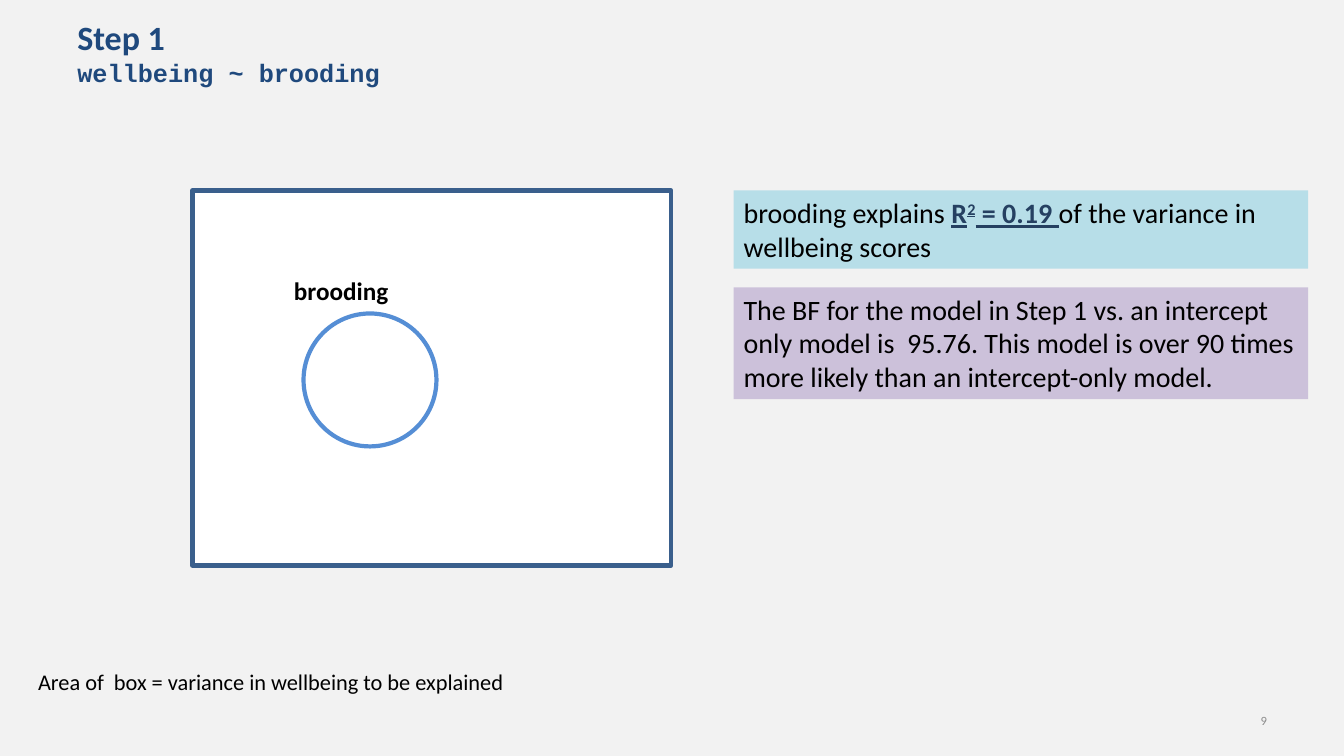
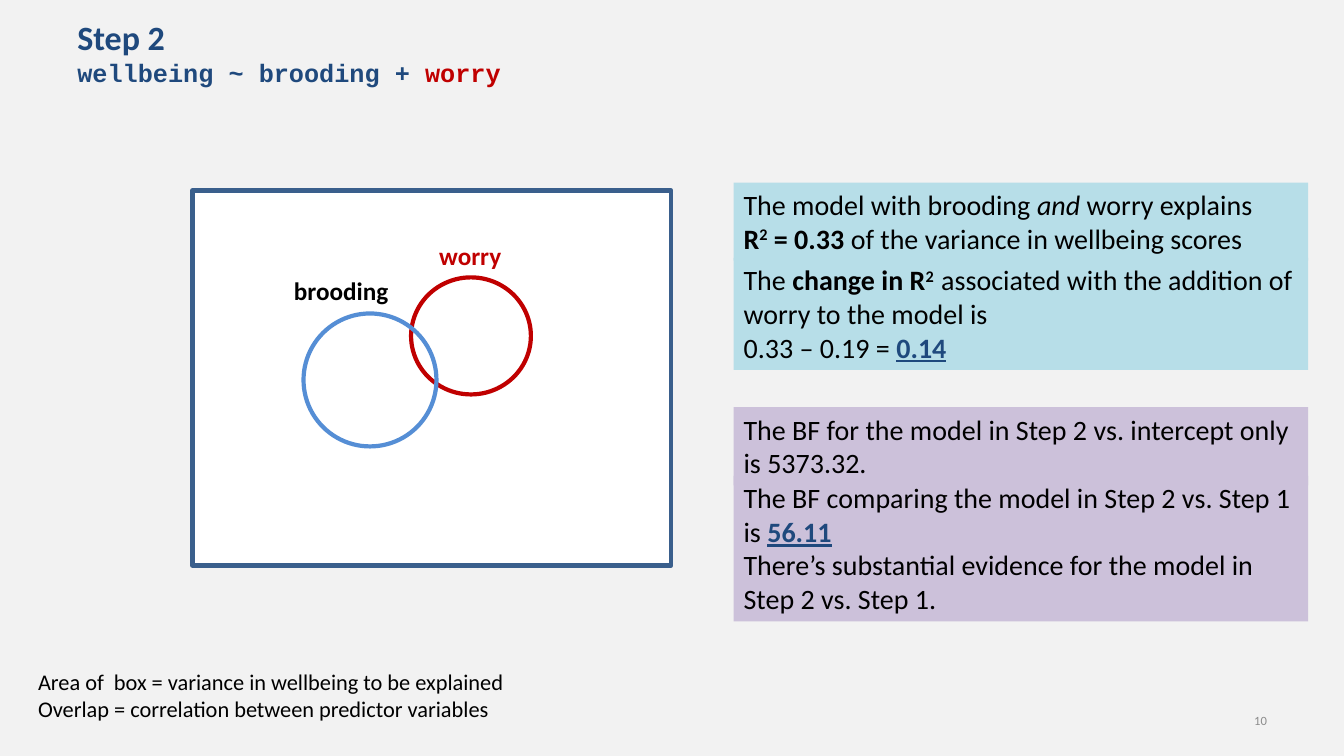
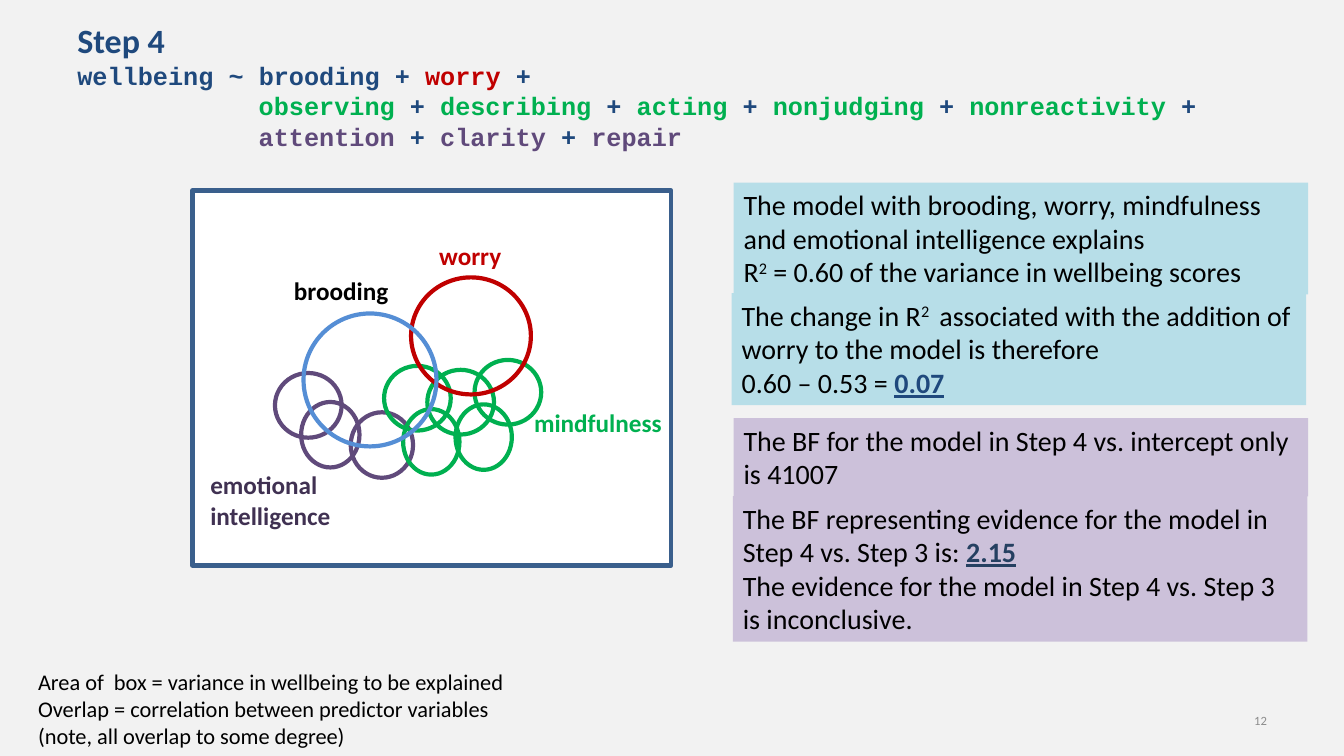
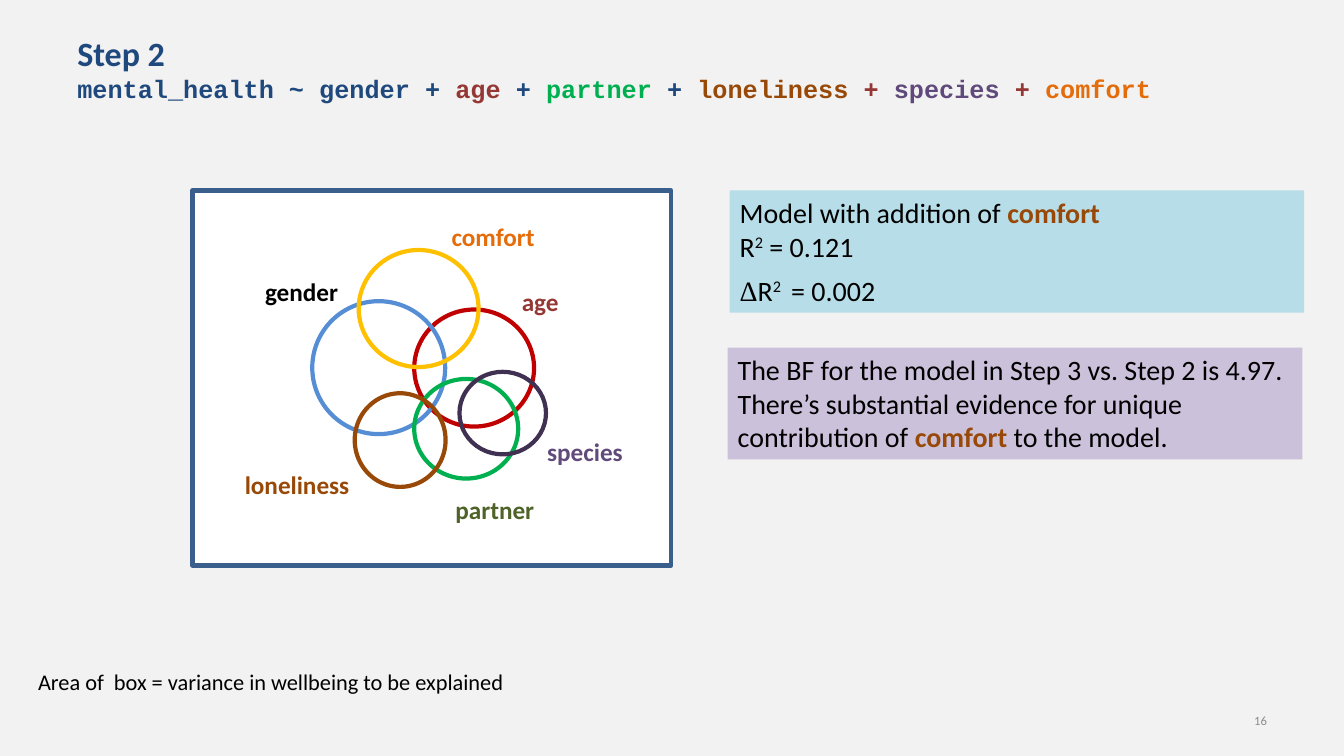
"""Build four slides that explain regression steps with Venn diagrams and notes."""
from pptx import Presentation
from pptx.dml.color import RGBColor as RGB
from pptx.enum.shapes import MSO_SHAPE as SHAPE
from pptx.enum.text import MSO_ANCHOR as ANCHOR, PP_ALIGN as ALIGN
from pptx.util import Cm, Pt

COLORS = {
    "back": "F2F2F2", "white": "FFFFFF", "black": "000000", "grey": "8C8C8C",
    "navy": "1F497D", "ink": "254061", "frame": "3A5F8C", "blue": "558ED5",
    "aqua": "B7DEE8", "lilac": "CCC1DA", "red": "C00000", "wine": "953735",
    "green": "00B050", "olive": "4F6228", "purple": "604A7B", "plum": "403152",
    "brown": "984807", "orange": "E46C0A", "gold": "FFC000",
}
STYLES = {
    "title": {"size": Pt(24.3), "name": "Calibri", "bold": True, "color": "navy"},
    "code": {"size": Pt(18), "name": "Courier New", "bold": True, "color": "navy"},
    "note": {"size": Pt(20), "name": "Calibri", "color": "black"},
    "label": {"size": Pt(18), "name": "Calibri", "bold": True},
    "caption": {"size": Pt(16), "name": "Calibri", "color": "black"},
    "number": {"size": Pt(9), "name": "Calibri", "color": "grey"},
    "bold": {"bold": True},
    "italic": {"italic": True},
    "under": {"underline": True},
    "serif": {"name": "Times New Roman"},
    "sup": {"baseline": "30000"},
}
CODE_INDENT = Cm(4.57)

AREA = ["Area of  box = variance in wellbeing to be explained"]
OVERLAP = AREA + ["Overlap = correlation between predictor variables"]
BROODING = [(7.65, 7.9, 3.35, 3.35, "blue")]
WORRY = [(10.36, 6.99, 3.02, 2.95, "red")]
BROODING_LABEL = [("brooding", 7.16, 6.81, "black")]
WORRY_LABEL = [("worry", 10.82, 5.94, "red")]
PLUS = (" + ", "navy")

SLIDES = [
    {
        "number": "9", "top": 0.3, "step": "Step 1",
        "model": [["wellbeing ~ brooding"]],
        "rings": BROODING, "labels": BROODING_LABEL, "caption": AREA,
        "notes": [
            (18.49, 4.8, 2, "aqua", [
                ["brooding explains ", ("R", "ink bold under"), ("2", "ink bold under sup"),
                 (" = 0.19 ", "ink bold under"), "of the variance in wellbeing scores"]]),
            (18.49, 7.24, 3, "lilac", [
                ["The BF for the model in Step 1 vs. an intercept only model is  95.76. "
                 "This model is over 90 times more likely than an intercept-only model."]]),
        ],
    },
    {
        "number": "10", "top": 0.3, "step": "Step 2",
        "model": [["wellbeing ~ brooding + ", ("worry", "red")]],
        "rings": WORRY + BROODING, "labels": WORRY_LABEL + BROODING_LABEL, "caption": OVERLAP,
        "notes": [
            (18.49, 4.6, 2, "aqua", [
                ["The model with brooding ", ("and ", "italic"), "worry explains"],
                [("R", "bold"), ("2", "bold sup"), (" = 0.33 ", "bold"),
                 "of the variance in wellbeing scores"]]),
            (18.49, 6.5, 3, "aqua", [
                ["The ", ("change in R", "bold"), ("2  ", "bold sup"),
                 "associated with the addition of worry to the model is"],
                ["0.33 – 0.19 = ", ("0.14", "navy bold under")]]),
            (18.49, 10.26, 2, "lilac", [
                ["The BF for the model in Step 2 vs. intercept only is 5373.32."]]),
            (18.49, 11.99, 4, "lilac", [
                ["The BF comparing the model in Step 2 vs. Step 1 is ", ("56.11", "navy bold under")],
                ["There’s substantial evidence for the model in Step 2 vs. Step 1."]]),
        ],
    },
    {
        "number": "12", "top": 0.37, "step": "Step 4",
        "model": [
            ["wellbeing ~ brooding + ", ("worry", "red"), " +"],
            [("observing", "green"), PLUS, ("describing", "green"), PLUS, ("acting", "green"), PLUS,
             ("nonjudging", "green"), PLUS, ("nonreactivity", "green"), " +"],
            [("attention", "purple"), PLUS, ("clarity", "purple"), PLUS, ("repair", "purple")],
        ],
        "rings": [
            (6.93, 9.4, 1.68, 1.63, "purple"), (7.59, 10.13, 1.47, 1.65, "purple"),
            (8.84, 10.39, 1.57, 1.65, "purple"),
            (10.77, 9.32, 1.68, 1.63, "green"), (9.68, 9.22, 1.68, 1.63, "green"),
            (11.96, 9.07, 1.68, 1.63, "green"),
            (10.16, 10.31, 1.42, 1.65, "green"), (11.48, 10.19, 1.42, 1.65, "green"),
        ] + WORRY + BROODING,
        "labels": [("emotional intelligence", 5.05, 11.71, "plum"),
                   ("mindfulness", 13.21, 10.13, "green")] + WORRY_LABEL + BROODING_LABEL,
        "caption": OVERLAP + ["(note, all overlap to some degree)"],
        "notes": [
            (18.49, 4.6, 3, "aqua", [
                ["The model with brooding, worry, mindfulness and emotional intelligence explains"],
                ["R", ("2", "sup"), " = 0.60 of the variance in wellbeing scores"]]),
            (18.44, 7.39, 3, "aqua", [
                ["The change in R", ("2 ", "sup"),
                 " associated with the addition of worry to the model is therefore"],
                ["0.60 – 0.53 = ", ("0.07", "navy bold under")]]),
            (18.49, 10.54, 2, "lilac", [
                ["The BF for the model in Step 4 vs. intercept only is 41007"]]),
            (18.47, 12.5, 4, "lilac", [
                ["The BF representing evidence for the model in Step 4 vs. Step 3 is: ",
                 ("2.15", "ink bold under")],
                ["The evidence for the model in Step 4 vs. Step 3 is inconclusive."]]),
        ],
    },
    {
        "number": "16", "top": 0.7, "step": "Step 2",
        "model": [["mental_health ~ gender + ", ("age", "wine"), PLUS, ("partner", "green"), PLUS,
                   ("loneliness", "brown"), (" + ", "wine"), ("species", "purple"),
                   (" + ", "wine"), ("comfort", "orange")]],
        "rings": [
            (10.44, 7.8, 3.02, 2.95, "red"), (7.87, 7.59, 3.35, 3.35, "blue"),
            (10.44, 9.55, 2.62, 2.51, "green"), (8.94, 9.91, 2.29, 2.36, "brown"),
            (11.58, 9.37, 2.18, 2.08, "plum"), (9.04, 6.3, 3.02, 2.95, "gold"),
        ],
        "labels": [
            ("gender", 6.43, 6.83, "black"), ("age", 12.9, 7.09, "wine"),
            ("partner", 11.23, 12.32, "olive"), ("loneliness", 5.92, 11.71, "brown"),
            ("species", 13.54, 10.87, "purple"), ("comfort", 11.13, 5.46, "orange"),
        ],
        "caption": AREA,
        "notes": [
            (18.34, 8.76, 3, "lilac", [
                ["The BF for the model in Step 3 vs. Step 2 is 4.97."],
                ["There’s substantial evidence for unique contribution of ",
                 ("comfort", "brown bold"), " to the model."]]),
            (18.39, 6.76, 1, "aqua", [[("Δ", "serif"), "R", ("2 ", "sup"), " = 0.002"]]),
            (18.39, 4.8, 2, "aqua", [
                ["Model with addition of ", ("comfort", "brown bold")],
                ["R", ("2", "sup"), " = 0.121"]]),
        ],
    },
]


def add_panel(s, kind, box, fill=None, line=None):
    sp = s.shapes.add_shape(kind, *map(Cm, box))
    sp.shadow.inherit = False
    for part, color in ((sp.fill, fill), (sp.line.fill, line)):
        if color:
            part.solid()
            part.fore_color.rgb = RGB.from_string(COLORS[color])
        else:
            part.background()
    if line:
        sp.line.width = Pt(3)
    return sp


def write(sp, paragraphs, base, align=ALIGN.LEFT, anchor=ANCHOR.TOP):
    tf = sp.text_frame
    tf.word_wrap = True
    tf.vertical_anchor = anchor
    for i, runs in enumerate(paragraphs):
        p = tf.paragraphs[0] if i == 0 else tf.add_paragraph()
        p.alignment = align
        for run in runs:
            text, names = (run, "") if isinstance(run, str) else run
            r = p.add_run()
            r.text = text
            for name in f"{base} {names}".split():
                for key, value in STYLES.get(name, {"color": name}).items():
                    if key == "color":
                        r.font.color.rgb = RGB.from_string(COLORS[value])
                    elif key == "baseline":
                        r._r.get_or_add_rPr().set(key, value)
                    else:
                        setattr(r.font, key, value)
    return tf


prs = Presentation()
prs.slide_width, prs.slide_height = Cm(33.87), Cm(19.05)
back = prs.slide_master.background.fill
back.solid()
back.fore_color.rgb = RGB.from_string(COLORS["back"])

for data in SLIDES:
    s = prs.slides.add_slide(prs.slide_layouts[6])

    sp = s.shapes.add_textbox(Cm(1.7), Cm(data["top"]), Cm(30.48), Cm(2))
    tf = write(sp, [[(data["step"], "title")]] + data["model"], "code")
    for p in tf.paragraphs[2:]:
        p._p.get_or_add_pPr().set("marL", str(CODE_INDENT))

    add_panel(s, SHAPE.RECTANGLE, (4.85, 4.8, 12.07, 9.45), "white", "frame")
    for *box, color in data["rings"]:
        add_panel(s, SHAPE.OVAL, box, line=color)
    for text, left, top, color in data["labels"]:
        sp = s.shapes.add_textbox(Cm(left), Cm(top), Cm(3.78), Cm(1.02))
        write(sp, [[(text, color)]], "label")

    for left, top, lines, color, paragraphs in data["notes"]:
        sp = add_panel(s, SHAPE.RECTANGLE, (left, top, 14.48, 0.27 + 0.85 * lines), color)
        write(sp, paragraphs, "note")

    sp = s.shapes.add_textbox(Cm(0.71), Cm(16.71), Cm(13), Cm(0.94))
    write(sp, [[text] for text in data["caption"]], "caption")
    sp = s.shapes.add_textbox(Cm(24.28), Cm(17.65), Cm(7.9), Cm(1.02))
    write(sp, [[data["number"]]], "number", ALIGN.RIGHT, ANCHOR.MIDDLE)

prs.save("out.pptx")
